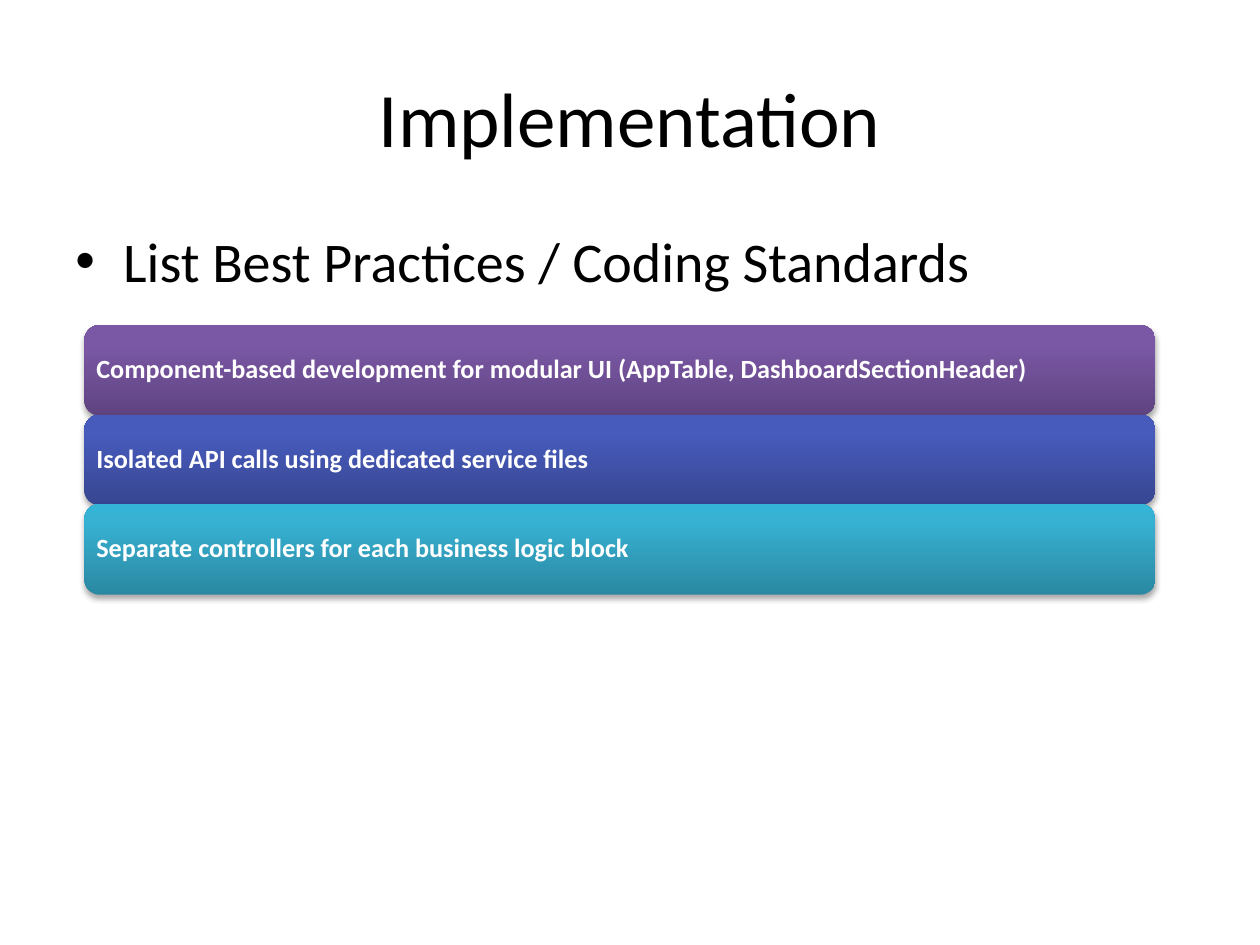
from pptx import Presentation
from pptx.dml.color import RGBColor
from pptx.enum.shapes import MSO_SHAPE as Shape
from pptx.enum.text import MSO_ANCHOR as Anchor, PP_ALIGN as Align
from pptx.oxml import parse_xml
from pptx.oxml.ns import nsdecls, qn
from pptx.util import Inches, Pt

# Content
TITLE = "Implementation"
BULLET = "List Best Practices / Coding Standards"
BARS = [  # text, gradient colours from bottom to top
    ("Component-based development for modular UI (AppTable, DashboardSectionHeader)",
     ("5F4480", "7B58A6", "7C57A8")),
    ("Isolated API calls using dedicated service files",
     ("374691", "475BBC", "455ABF")),
    ("Separate controllers for each business logic block",
     ("2A88A2", "37B1D2", "34B4D6")),
]
STOPS = (0, 80, 100)
LEFT, TOP, WIDTH, HEIGHT, STEP = 0.67, 2.58, 8.5, 0.72, 0.71


def style(par, size, color, bold=False):
    font = par.font
    font.name, font.size, font.bold = "Calibri", Pt(size), bold
    font.color.rgb = RGBColor.from_string(color)


def place(x, y, w, h):
    return [Inches(v) for v in (x, y, w, h)]


def shade(bar, colors):
    stops = "".join(
        f'<a:gs pos="{pos * 1000}"><a:srgbClr val="{color}"/></a:gs>'
        for pos, color in zip(STOPS, colors))
    fill = parse_xml(
        f'<a:gradFill {nsdecls("a")} rotWithShape="1"><a:gsLst>{stops}</a:gsLst>'
        '<a:lin ang="16200000" scaled="0"/></a:gradFill>')
    props = bar.element.spPr
    props.find(qn("a:prstGeom")).addnext(fill)
    bar.line.fill.background()
    bar.shadow.inherit = False
    props.find(qn("a:effectLst")).append(parse_xml(
        f'<a:outerShdw {nsdecls("a")} blurRad="{Pt(3.1)}" dist="{Pt(1.8)}" '
        'dir="5400000" rotWithShape="0"><a:srgbClr val="000000">'
        '<a:alpha val="35000"/></a:srgbClr></a:outerShdw>'))


deck = Presentation()
deck.slide_width, deck.slide_height = Inches(10), Inches(7.5)
slide = deck.slides.add_slide(deck.slide_layouts[5])

# Title
title = slide.shapes.title
title.left, title.top, title.width, title.height = place(0.5, 0.3, 9, 1.25)
title.text_frame.text = TITLE
title.text_frame.vertical_anchor = Anchor.MIDDLE
par = title.text_frame.paragraphs[0]
par.alignment = Align.CENTER
style(par, 44, "000000")

# Bullet
frame = slide.shapes.add_textbox(*place(0.5, 1.75, 9, 4.95)).text_frame
frame.word_wrap = True
frame.text = BULLET
par = frame.paragraphs[0]
props = par._p.get_or_add_pPr()
props.set("marL", str(Inches(0.38)))
props.set("indent", str(Inches(-0.38)))
props.append(parse_xml(f'<a:buFont {nsdecls("a")} typeface="Arial"/>'))
props.append(parse_xml(f'<a:buChar {nsdecls("a")} char="•"/>'))
style(par, 32, "000000")

# Stacked bars
for row, (text, colors) in enumerate(BARS):
    bar = slide.shapes.add_shape(
        Shape.ROUNDED_RECTANGLE, *place(LEFT, TOP + row * STEP, WIDTH, HEIGHT))
    shade(bar, colors)
    frame = bar.text_frame
    frame.word_wrap = True
    frame.vertical_anchor = Anchor.MIDDLE
    frame.margin_left = frame.margin_right = Inches(0.06)
    frame.margin_top = frame.margin_bottom = Inches(0.06)
    frame.text = text
    par = frame.paragraphs[0]
    par.alignment = Align.LEFT
    par.line_spacing = 0.9
    style(par, 15, "FFFFFF", bold=True)

deck.save("out.pptx")
